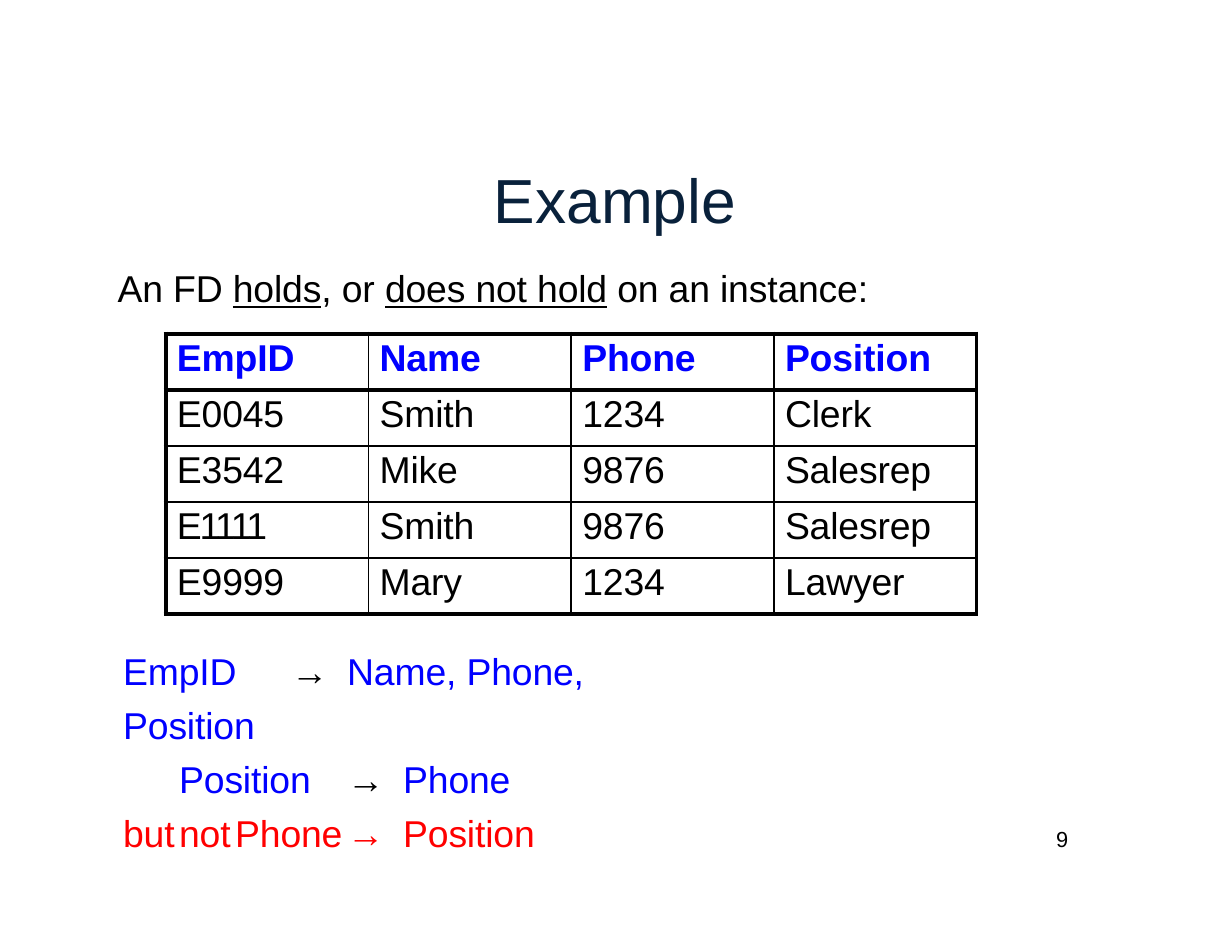
from dataclasses import dataclass

from lxml import etree
from pptx import Presentation
from pptx import util as u
from pptx.dml.color import RGBColor
from pptx.enum import text
from pptx.oxml import ns


@dataclass(frozen=True)
class Theme:
    font: str = "Arial"
    navy: str = "09213B"
    blue: str = "0000FF"
    red: str = "FF0000"
    black: str = "000000"
    title: int = 40
    body: int = 24
    number: int = 14
    outer: float = 3
    right: float = 2.25
    row: float = 1.5
    column: float = 1


THEME = Theme()
WIDTH, HEIGHT = 11, 8.5
COL, ROW = 1.81, 0.5
STAFF = [
    ["EmpID", "Name", "Phone", "Position"],
    ["E0045", "Smith", "1234", "Clerk"],
    ["E3542", "Mike", "9876", "Salesrep"],
    ["E1111", "Smith", "9876", "Salesrep"],
    ["E9999", "Mary", "1234", "Lawyer"],
]


def add_run(p, words, color=THEME.black, size=THEME.body, bold=False,
            underline=False, spacing=-0.1):
    r = p.add_run()
    r.text = words
    r.font.name = THEME.font
    r.font.size = u.Pt(size)
    r.font.bold = bold
    r.font.underline = underline
    r.font.color.rgb = RGBColor.from_string(color)
    r._r.get_or_add_rPr().set("spc", str(round(spacing * 100)))


def indent(p, left):
    p.alignment = text.PP_ALIGN.LEFT
    pPr = p._p.get_or_add_pPr()
    pPr.set("marL", str(u.Inches(left)))
    pPr.set("indent", "0")


def add_tabs(p, stops):
    tabs = etree.SubElement(p._p.get_or_add_pPr(), ns.qn("a:tabLst"))
    for stop in stops:
        etree.SubElement(tabs, ns.qn("a:tab"), pos=str(u.Inches(stop)), algn="l")


def set_frame(sp, left, top, width, height, inset=0.01):
    sp.left, sp.top = u.Inches(left), u.Inches(top)
    sp.width, sp.height = u.Inches(width), u.Inches(height)
    tf = sp.text_frame
    tf.word_wrap = True
    tf.auto_size = text.MSO_AUTO_SIZE.SHAPE_TO_FIT_TEXT
    tf.vertical_anchor = text.MSO_ANCHOR.TOP
    tf.margin_left = tf.margin_right = tf.margin_bottom = 0
    tf.margin_top = u.Inches(inset)
    return tf


def add_text(s, left, top, width, height, inset=0.01):
    return set_frame(s.shapes.add_textbox(0, 0, 0, 0), left, top, width, height, inset)


def add_title(s):
    p = set_frame(s.shapes.title, 0.4 * WIDTH, 1.43, 2.19, 0.7).paragraphs[0]
    indent(p, 0.01)
    add_run(p, "Example", THEME.navy, THEME.title, spacing=0)


def add_lead(s):
    p = add_text(s, 1.04, 2.36, 6.79, 0.43).paragraphs[0]
    indent(p, 0.01)
    parts = ["An FD ", "holds", ", or ", "does not hold", " on an instance:"]
    for i, words in enumerate(parts):
        add_run(p, words, underline=i % 2 == 1)


def set_borders(cell, **widths):
    tcPr = cell._tc.get_or_add_tcPr()
    for side in "LRTB":
        ln = etree.SubElement(tcPr, ns.qn(f"a:ln{side}"), w=str(u.Pt(widths[side])))
        fill = etree.SubElement(ln, ns.qn("a:solidFill"))
        etree.SubElement(fill, ns.qn("a:srgbClr"), val=THEME.black)


def fill_cell(cell, words, header):
    cell.fill.background()
    cell.margin_left = cell.margin_right = cell.margin_bottom = 0
    cell.margin_top = u.Inches(0.04)
    p = cell.text_frame.paragraphs[0]
    indent(p, 0.1)
    add_run(p, words, THEME.blue if header else THEME.black, bold=header,
            spacing=-1.5 if words == "E1111" else -0.1)


def add_staff_table(s):
    rows, cols = len(STAFF), len(STAFF[0])
    table = s.shapes.add_table(rows, cols, u.Inches(1.48), u.Inches(2.98),
                               u.Inches(COL * cols), u.Inches(ROW * rows)).table
    table.first_row = table.horz_banding = False
    heavy_rules = {0, 1, rows}
    for i, record in enumerate(STAFF):
        for j, words in enumerate(record):
            cell = table.cell(i, j)
            set_borders(
                cell,
                L=THEME.outer if j == 0 else THEME.column,
                R=THEME.right if j == cols - 1 else THEME.column,
                T=THEME.outer if i in heavy_rules else THEME.row,
                B=THEME.outer if i + 1 in heavy_rules else THEME.row,
            )
            fill_cell(cell, words, i == 0)


def add_dependencies(s):
    tf = add_text(s, 1.09, 5.7, 5.15, 1.47)
    lines = [
        ([1.22, 1.73], 1.2, 0, THEME.blue, THEME.black,
         ["EmpID\t", "→\t", "Name, Phone, Position"]),
        ([0.1, 1.73, 3.98], 1.2, 0, THEME.blue, THEME.black,
         ["\tPosition\t", "→\t", "Phone"]),
        ([0.66, 1.4, 2.55, 3.06], 1, 5.8, THEME.red, THEME.red,
         ["but\tnot\tPhone\t", "→\t", "Position"]),
    ]
    for i, (stops, spacing, before, color, arrow_color, parts) in enumerate(lines):
        p = tf.add_paragraph() if i else tf.paragraphs[0]
        indent(p, 0.01)
        add_tabs(p, stops)
        p.line_spacing = float(spacing)
        p.space_before = u.Pt(before)
        for words in parts:
            arrow = words.startswith("→")
            add_run(p, words, arrow_color if arrow else color,
                    spacing=0 if arrow else -0.1)


def add_number(s):
    p = add_text(s, 9.39, 7.38, 0.3, 0.25, inset=0).paragraphs[0]
    indent(p, 0.04)
    p.line_spacing = u.Pt(16.4)
    add_run(p, "9", size=THEME.number)


def main():
    prs = Presentation()
    prs.slide_width, prs.slide_height = u.Inches(WIDTH), u.Inches(HEIGHT)
    s = prs.slides.add_slide(prs.slide_layouts[5])
    add_title(s)
    add_lead(s)
    add_staff_table(s)
    add_dependencies(s)
    add_number(s)
    prs.save("out.pptx")


if __name__ == "__main__":
    main()
